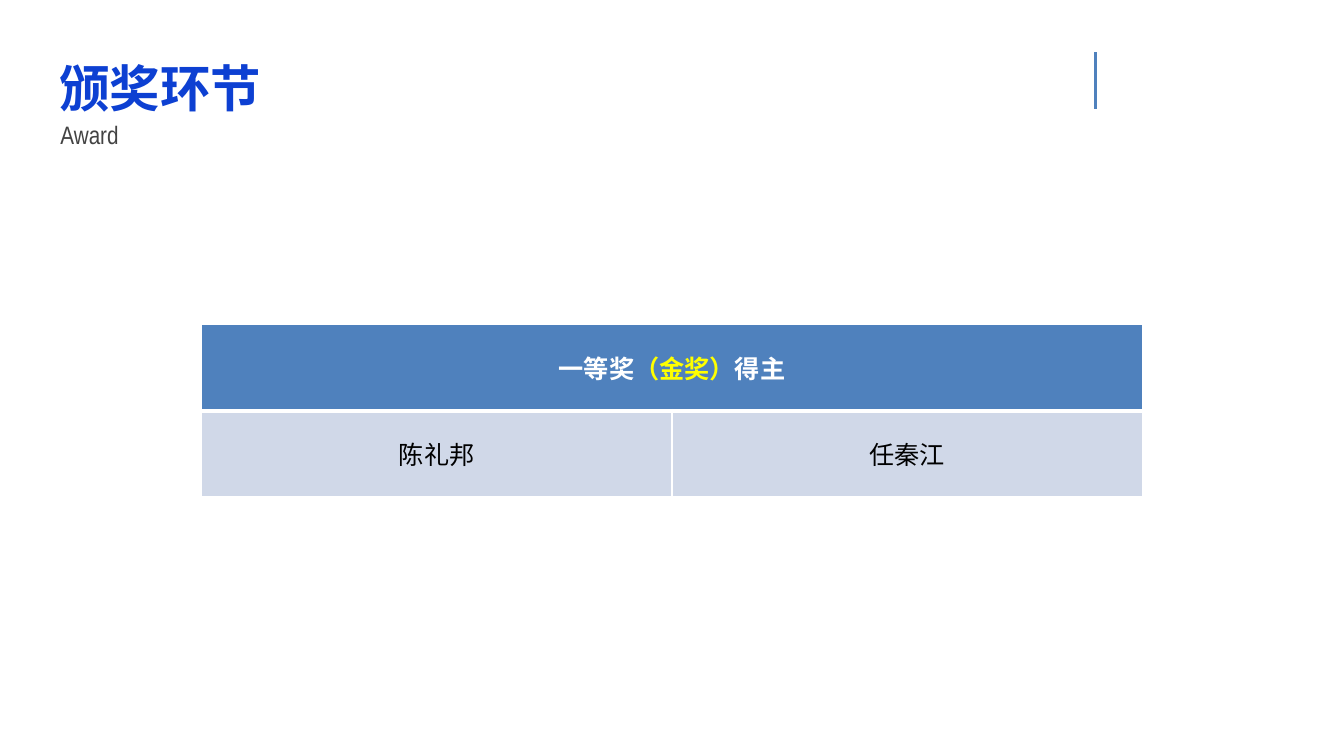
import pptx
import pptx.dml.color
import pptx.enum.shapes
import pptx.enum.text
import pptx.oxml.ns
import pptx.util
from lxml import etree

Pt = pptx.util.Pt
RGBColor = pptx.dml.color.RGBColor
MSO_ANCHOR = pptx.enum.text.MSO_ANCHOR
PP_ALIGN = pptx.enum.text.PP_ALIGN
qn = pptx.oxml.ns.qn

TITLE_BLUE = RGBColor(0x0D, 0x40, 0xD2)
STEEL_BLUE = RGBColor(0x4F, 0x81, 0xBD)
PALE_BLUE = RGBColor(0xD0, 0xD8, 0xE8)
GREY = RGBColor(0x43, 0x43, 0x43)
WHITE = RGBColor(0xFF, 0xFF, 0xFF)
YELLOW = RGBColor(0xFF, 0xFF, 0x00)
BLACK = RGBColor(0x00, 0x00, 0x00)

CHINESE_FONT = "Noto Sans CJK SC"
LATIN_FONT = "Arial Narrow"


def format_run(run, font_name, size, color, bold=False):
    run.font.size = Pt(size)
    run.font.bold = bold
    run.font.color.rgb = color
    run.font.name = font_name
    east_asian = etree.Element(qn("a:ea"), typeface=font_name)
    run.font._element.find(qn("a:latin")).addnext(east_asian)


def place_text(shape, text, bounds, anchor, font_name, size, color, bold=False):
    shape.left, shape.top, shape.width, shape.height = map(Pt, bounds)
    text_frame = shape.text_frame
    text_frame.text = text
    text_frame.word_wrap = True
    text_frame.auto_size = pptx.enum.text.MSO_AUTO_SIZE.NONE
    text_frame.vertical_anchor = anchor
    text_frame.margin_left = text_frame.margin_right = 0
    text_frame.margin_top = text_frame.margin_bottom = 0
    paragraph = text_frame.paragraphs[0]
    paragraph.alignment = PP_ALIGN.LEFT
    format_run(paragraph.runs[0], font_name, size, color, bold)


def set_borders(cell, **widths):
    """Draw white borders; widths are keyed by side: L, R, T, B."""
    properties = cell._tc.get_or_add_tcPr()
    for side, width in widths.items():
        line = etree.SubElement(properties, qn(f"a:ln{side}"), w=str(Pt(width)))
        fill = etree.SubElement(line, qn("a:solidFill"))
        etree.SubElement(fill, qn("a:srgbClr"), val=str(WHITE))


def fill_cell(cell, color, parts, bold=False):
    """Fill a cell with centred text made of (text, color) parts."""
    cell.fill.solid()
    cell.fill.fore_color.rgb = color
    cell.vertical_anchor = MSO_ANCHOR.MIDDLE
    paragraph = cell.text_frame.paragraphs[0]
    paragraph.alignment = PP_ALIGN.CENTER
    for text, text_color in parts:
        run = paragraph.add_run()
        run.text = text
        format_run(run, CHINESE_FONT, 18, text_color, bold)


def add_award_table(slide, heading, winners):
    table = slide.shapes.add_table(
        2, len(winners), Pt(144), Pt(232), Pt(672), Pt(123)).table
    for cell in table.iter_cells():
        set_borders(cell, L=1, R=1, T=1, B=1)
    for cell in table.rows[0].cells:
        cell._tc.tcPr.find(qn("a:lnB")).set("w", str(Pt(3)))
    for cell in table.rows[1].cells:
        cell._tc.tcPr.find(qn("a:lnT")).set("w", str(Pt(3)))
    heading_cell = table.cell(0, 0)
    heading_cell.merge(table.cell(0, len(winners) - 1))
    fill_cell(heading_cell, STEEL_BLUE, heading, bold=True)
    for column, winner in enumerate(winners):
        fill_cell(table.cell(1, column), PALE_BLUE, [(winner, BLACK)])


def add_vertical_line(slide, x, top, bottom):
    line = slide.shapes.add_connector(
        pptx.enum.shapes.MSO_CONNECTOR.STRAIGHT, Pt(x), Pt(top), Pt(x), Pt(bottom))
    line.line.color.rgb = STEEL_BLUE
    line.line.width = Pt(2)
    etree.SubElement(line._element.spPr, qn("a:effectLst"))


def main():
    presentation = pptx.Presentation()
    presentation.slide_width = Pt(960)
    presentation.slide_height = Pt(540)
    slide = presentation.slides.add_slide(presentation.slide_layouts[5])

    place_text(slide.shapes.title, "颁奖环节", (42.5, 42.5, 163.5, 39.5),
               MSO_ANCHOR.MIDDLE, CHINESE_FONT, 36, TITLE_BLUE, bold=True)
    subtitle = slide.shapes.add_textbox(0, 0, 0, 0)
    place_text(subtitle, "Award", (43.2, 85, 130.3, 14.4),
               MSO_ANCHOR.TOP, LATIN_FONT, 18, GREY)
    add_award_table(
        slide,
        [("一等奖", WHITE), ("（金奖）", YELLOW), ("得主", WHITE)],
        ["陈礼邦", "任秦江"])
    add_vertical_line(slide, 782.6, 37.4, 77.8)

    presentation.save("out.pptx")


if __name__ == "__main__":
    main()
